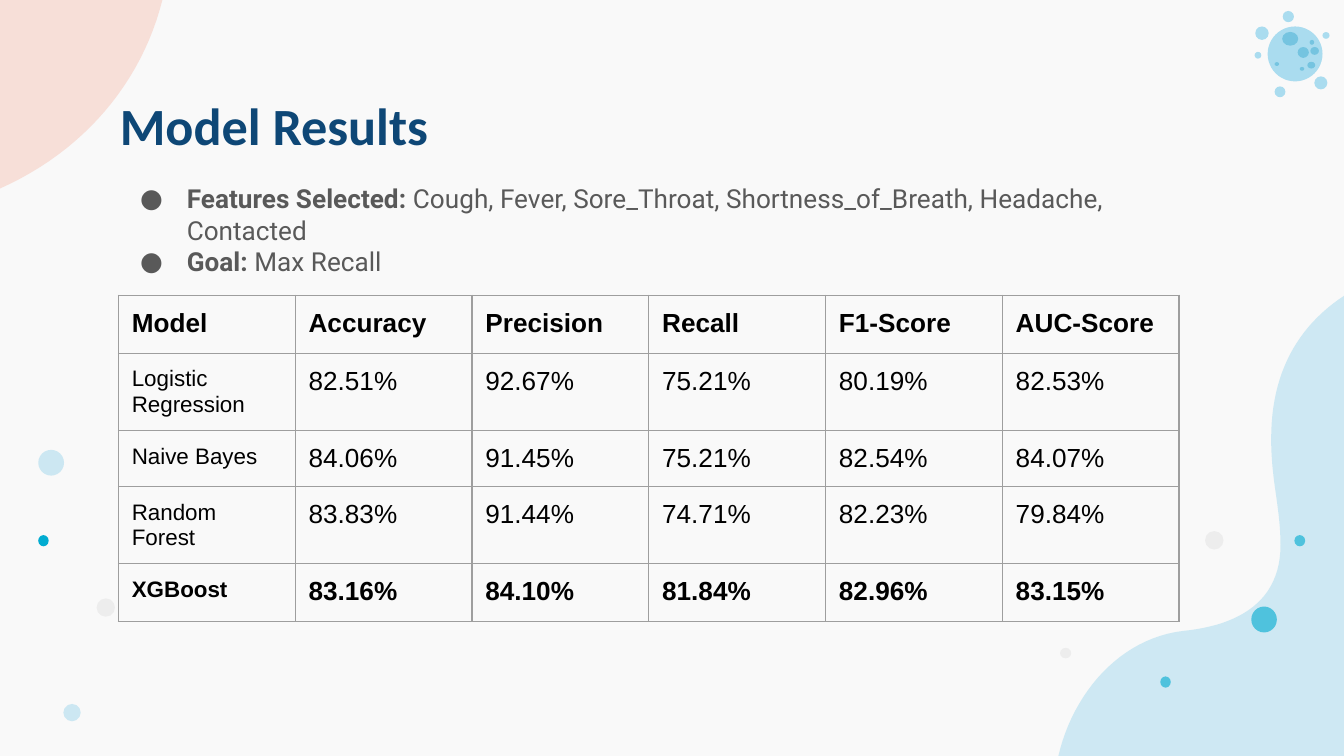
"""Build the Model Results slide: decorated background, bullets and score table."""
from lxml.etree import SubElement
from pptx import Presentation
from pptx.dml.color import RGBColor
from pptx.enum.shapes import MSO_SHAPE
from pptx.enum.text import MSO_ANCHOR, MSO_AUTO_SIZE, PP_ALIGN
from pptx.oxml.ns import qn
from pptx.util import Pt

WIDTH, HEIGHT = 720, 405
TITLE = "Model Results"
BULLETS = [
    ("Features Selected: ", "Cough, Fever, Sore_Throat, Shortness_of_Breath, Headache, Contacted"),
    ("Goal: ", "Max Recall"),
]
SCORES = [
    ("Model", "Accuracy", "Precision", "Recall", "F1-Score", "AUC-Score"),
    ("Logistic Regression", "82.51%", "92.67%", "75.21%", "80.19%", "82.53%"),
    ("Naive Bayes", "84.06%", "91.45%", "75.21%", "82.54%", "84.07%"),
    ("Random Forest", "83.83%", "91.44%", "74.71%", "82.23%", "79.84%"),
    ("XGBoost", "83.16%", "84.10%", "81.84%", "82.96%", "83.15%"),
]
TABLE_LEFT, TABLE_TOP, COLUMN_WIDTH = 63.4, 158.2, 94.73
ROW_HEIGHTS = [31, 41.25, 30, 41.25, 31]

TITLE_FORMAT = {"name": "Calibri", "size": Pt(28), "bold": True}
BODY_FORMAT = {"name": "Roboto", "size": Pt(14)}
CELL_FORMAT = {"name": "Arial", "size": Pt(14)}
MARGINS = dict.fromkeys(("margin_left", "margin_right", "margin_top", "margin_bottom"), Pt(7.2))
FRAME_FORMAT = {**MARGINS, "word_wrap": True, "auto_size": MSO_AUTO_SIZE.NONE,
                "vertical_anchor": MSO_ANCHOR.TOP}

BLOBS = [
    ("F5AD9A", 34, (87, 0), [((76, 44), (45, 81), (0, 101))], (0, 0)),
    ("AADBEE", 54, (720, 158.5), [
        ((695, 175), (681, 200), (681, 235)),
        ((681, 258), (686, 272), (686, 292)),
        ((686, 322), (664, 335), (634, 338)),
        ((600, 342), (575, 371), (567, 405)),
    ], (WIDTH, HEIGHT)),
]
DOTS = [
    ("AADBEE", 57, [(27.4, 247.9, 13.8, 13.8), (38.6, 381.8, 9.3, 9.3)]),
    ("EDEDED", 100, [(570.9, 349.9, 6, 5.6), (56.7, 325.5, 9.8, 9.8), (650.5, 289.5, 9.9, 9.9)]),
    ("02ACD1", 100, [(23.3, 289.7, 5.6, 6)]),
    ("02ACD0", 62, [(677.2, 331.9, 13.7, 13.9), (624.4, 365.4, 5.6, 6), (696.3, 289.7, 5.8, 6)]),
    ("AADCEF", 100, [
        (690.2, 8.9, 6, 6), (685.7, 49.2, 5.8, 5.8), (676.1, 17.8, 7.2, 7.2),
        (707.6, 44.4, 7, 7), (710.4, 19, 3.8, 3.6), (673.9, 29.6, 3.6, 3.6),
        (693.8, 28.9, 29.4, 29.4),
    ]),
    ("75C4E0", 100, [
        (704.3, 27.3, 4.6, 4.2), (702.8, 22.7, 2.4, 2.6), (698.2, 28.1, 6, 5.8),
        (691.2, 20.8, 8.6, 7.4), (702.5, 34.9, 4.2, 3.6), (684, 34.3, 2.4, 2),
        (697.5, 36.9, 2.4, 2),
    ]),
]


def colour(value):
    return RGBColor.from_string(value)


def apply(target, values):
    for name, value in values.items():
        setattr(target, name, value)


def write(para, text, hex_colour, values):
    span = para.add_run()
    span.text = text
    apply(span.font, values)
    span.font.color.rgb = colour(hex_colour)


def paint(shape, hex_colour, opacity):
    shape.shadow.inherit = False
    shape.line.fill.background()
    shape.fill.solid()
    shape.fill.fore_color.rgb = colour(hex_colour)
    if opacity < 100:
        fill = shape.element.spPr.find(qn("a:solidFill"))
        SubElement(fill[0], qn("a:alpha"), val=str(opacity * 1000))


def curve(start, control_1, control_2, end, steps=24):
    for step in range(1, steps + 1):
        t = step / steps
        weights = ((1 - t) ** 3, 3 * t * (1 - t) ** 2, 3 * t * t * (1 - t), t ** 3)
        points = (start, control_1, control_2, end)
        yield tuple(Pt(sum(w * p[axis] for w, p in zip(weights, points))) for axis in (0, 1))


def draw_background(page):
    page.background.fill.solid()
    page.background.fill.fore_color.rgb = colour("F9F9F9")
    for hex_colour, opacity, start, curves, corner in BLOBS:
        outline = page.shapes.build_freeform(Pt(start[0]), Pt(start[1]))
        for piece in curves:
            outline.add_line_segments(list(curve(start, *piece)), close=False)
            start = piece[-1]
        outline.add_line_segments([(Pt(corner[0]), Pt(corner[1]))], close=True)
        paint(outline.convert_to_shape(), hex_colour, opacity)
    for hex_colour, opacity, places in DOTS:
        for x, y, width, height in places:
            box = (Pt(n) for n in (x - width / 2, y - height / 2, width, height))
            paint(page.shapes.add_shape(MSO_SHAPE.OVAL, *box), hex_colour, opacity)


def draw_text(page):
    title = page.shapes.title
    apply(title, {"left": Pt(57), "top": Pt(42.5), "width": Pt(607), "height": Pt(37.5)})
    apply(title.text_frame, FRAME_FORMAT)
    para = title.text_frame.paragraphs[0]
    para.alignment = PP_ALIGN.LEFT
    write(para, TITLE, "0E4776", TITLE_FORMAT)

    frame = page.shapes.add_textbox(Pt(57), Pt(90.7), Pt(607), Pt(271)).text_frame
    apply(frame, FRAME_FORMAT)
    for index, (label, detail) in enumerate(BULLETS):
        para = frame.add_paragraph() if index else frame.paragraphs[0]
        properties = para._p.get_or_add_pPr()
        properties.set("marL", str(Pt(36)))
        properties.set("indent", str(-Pt(25)))
        bullet_colour = SubElement(properties, qn("a:buClr"))
        SubElement(bullet_colour, qn("a:srgbClr"), val="595959")
        SubElement(properties, qn("a:buFont"), typeface="Roboto")
        SubElement(properties, qn("a:buChar"), char="●")
        write(para, label, "595959", {**BODY_FORMAT, "bold": True})
        write(para, detail, "595959", {**BODY_FORMAT, "bold": False})


def add_borders(cell):
    properties = cell._tc.get_or_add_tcPr()
    for position, side in enumerate(("lnL", "lnR", "lnT", "lnB")):
        line = SubElement(properties, qn("a:" + side), w=str(Pt(0.75)))
        fill = SubElement(line, qn("a:solidFill"))
        SubElement(fill, qn("a:srgbClr"), val="9E9E9E")
        properties.insert(position, line)


def draw_table(page):
    rows, columns = len(SCORES), len(SCORES[0])
    table = page.shapes.add_table(rows, columns, Pt(TABLE_LEFT), Pt(TABLE_TOP),
                                  Pt(COLUMN_WIDTH * columns), Pt(sum(ROW_HEIGHTS))).table
    apply(table, {"first_row": False, "horz_banding": False})
    for column in table.columns:
        column.width = Pt(COLUMN_WIDTH)
    for r, (values, height) in enumerate(zip(SCORES, ROW_HEIGHTS)):
        table.rows[r].height = Pt(height)
        for c, text in enumerate(values):
            cell = table.cell(r, c)
            apply(cell, MARGINS)
            cell.fill.background()
            add_borders(cell)
            size = Pt(12) if c == 0 and r > 0 else Pt(14)
            bold = r in (0, rows - 1)
            write(cell.text_frame.paragraphs[0], text, "000000",
                  {**CELL_FORMAT, "size": size, "bold": bold})


def main():
    deck = Presentation()
    apply(deck, {"slide_width": Pt(WIDTH), "slide_height": Pt(HEIGHT)})
    page = deck.slides.add_slide(deck.slide_layouts[5])
    draw_background(page)
    draw_text(page)
    draw_table(page)
    deck.save("out.pptx")


if __name__ == "__main__":
    main()
